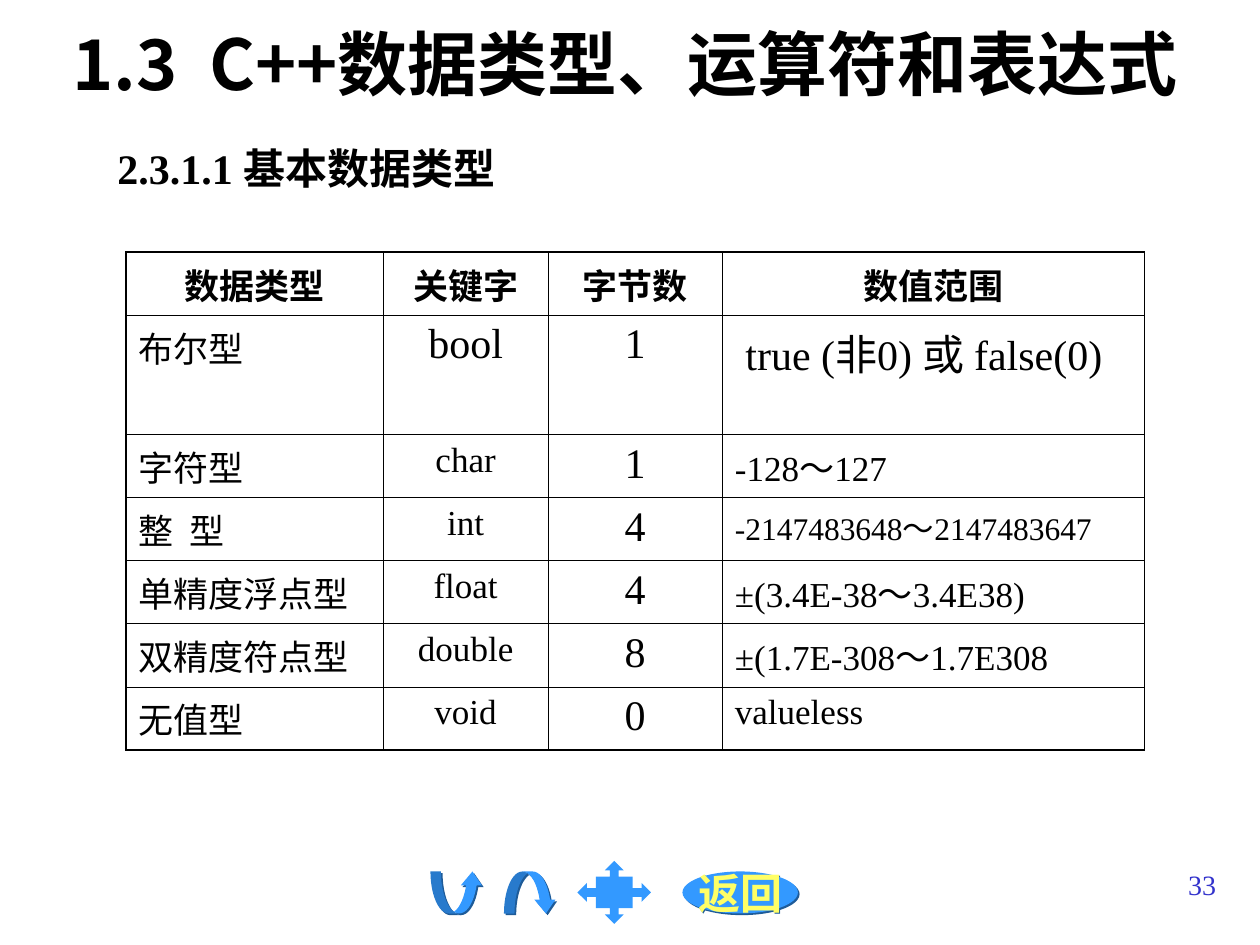
from lxml.etree import SubElement
from pptx import Presentation
from pptx.dml.color import RGBColor
from pptx.enum.shapes import MSO_SHAPE
from pptx.enum.text import MSO_ANCHOR, MSO_AUTO_SIZE, PP_ALIGN
from pptx.oxml.ns import qn
from pptx.util import Inches, Pt

BLACK = RGBColor(0x00, 0x00, 0x00)
AZURE = RGBColor(0x33, 0x99, 0xFF)
DEEP_BLUE = RGBColor(0x1E, 0x5B, 0x98)
YELLOW = RGBColor(0xFF, 0xFF, 0x66)
INDIGO = RGBColor(0x33, 0x33, 0xCC)
SERIF, SANS = "Times New Roman", "Noto Sans CJK SC"

COLUMNS, ROWS = 120, 90
UNIT = Inches(10) // COLUMNS

TITLE = "1.3  C++数据类型、运算符和表达式"
HEADING = "2.3.1.1 基本数据类型"
PAGE_NUMBER = "33"
HEADERS = ["数据类型", "关键字", "字节数", "数值范围"]
DATA_TYPES = [
    ("布尔型", "bool", "1", " true (非0) 或 false(0)"),
    ("字符型", "char", "1", "-128～127"),
    ("整  型", "int", "4", "-2147483648～2147483647"),
    ("单精度浮点型", "float", "4", "±(3.4E-38～3.4E38)"),
    ("双精度符点型", "double", "8", "±(1.7E-308～1.7E308"),
    ("无值型", "void", "0", "valueless"),
]
COLUMN_WIDTHS = [24.5, 15.7, 16.6, 40.2]
ROW_HEIGHTS = [6, 11.4, 6, 6, 6, 6, 6]
COLUMN_ALIGNS = [PP_ALIGN.LEFT, PP_ALIGN.CENTER, PP_ALIGN.CENTER, PP_ALIGN.LEFT]
COLUMN_SIZES = [20, 20, 24, 20]
SPECIAL_SIZES = {(1, 1): 24, (1, 3): 24, (3, 3): 18}
OUTER_BORDER, INNER_BORDER = 1.08, 0.45

BUTTONS = [
    (MSO_SHAPE.CURVED_UP_ARROW, (41, 83, 5, 4), [0.25, 0.5, 0.33], True, ""),
    (MSO_SHAPE.CURVED_DOWN_ARROW, (48, 83, 5, 4), [0.25, 0.5, 0.33], True, ""),
    (MSO_SHAPE.QUAD_ARROW_CALLOUT, (55, 82, 7, 6), [0.14, 0.15, 0.15, 0.5], False, ""),
    (MSO_SHAPE.OVAL, (65, 83, 11, 4), [], True, "返回"),
]


def grid(*cells):
    """Turn grid units into lengths."""
    return [round(cell * UNIT) for cell in cells]


def write(frame, text, size, color=BLACK, bold=False, align=PP_ALIGN.LEFT, latin=SERIF):
    """Fill a text frame with one formatted paragraph."""
    frame.text = text
    paragraph = frame.paragraphs[0]
    paragraph.alignment = align
    for run in paragraph.runs:
        font = run.font
        font.size, font.bold, font.name = Pt(size), bold, latin
        font.color.rgb = color
        SubElement(font._element, qn("a:ea"), typeface=SANS)


def add_label(slide, place, text, size, **style):
    """Add a wrapping text box on the grid."""
    label = slide.shapes.add_textbox(*grid(*place))
    label.text_frame.word_wrap = True
    write(label.text_frame, text, size, **style)


def add_color(parent, color):
    """Append a solid colour to an XML element."""
    return SubElement(parent, qn("a:srgbClr"), val=str(color))


def add_button(slide, kind, place, adjustments, shadowed, caption):
    """Add one navigation button."""
    button = slide.shapes.add_shape(kind, *grid(*place))
    for index, value in enumerate(adjustments):
        button.adjustments[index] = value
    button.fill.solid()
    button.fill.fore_color.rgb = AZURE
    button.line.fill.background()
    button.shadow.inherit = False
    if shadowed:
        effects = button._element.spPr.find(qn("a:effectLst"))
        shadow = SubElement(effects, qn("a:outerShdw"), blurRad="0",
                            dist=str(Pt(1.4)), dir="2700000", algn="ctr", rotWithShape="0")
        add_color(shadow, DEEP_BLUE)
    if caption:
        button.text_frame.word_wrap = False
        button.text_frame.vertical_anchor = MSO_ANCHOR.MIDDLE
        write(button.text_frame, caption, 24, YELLOW, True, PP_ALIGN.CENTER)


def set_borders(cell, row, column):
    """Rule a cell, heavier along the outside of the table."""
    outside = {"lnL": column == 0, "lnR": column == len(HEADERS) - 1,
               "lnT": row == 0, "lnB": row == len(DATA_TYPES)}
    properties = cell._tc.get_or_add_tcPr()
    for side, outer in outside.items():
        width = Pt(OUTER_BORDER if outer else INNER_BORDER)
        border = SubElement(properties, qn(f"a:{side}"), w=str(width))
        add_color(SubElement(border, qn("a:solidFill")), BLACK)


def add_type_table(slide):
    """Add the table of basic data types."""
    lines = [HEADERS, *DATA_TYPES]
    place = grid(12, 24, sum(COLUMN_WIDTHS), sum(ROW_HEIGHTS))
    table = slide.shapes.add_table(len(lines), len(HEADERS), *place).table
    table.first_row = table.horz_banding = False
    for column, width in zip(table.columns, grid(*COLUMN_WIDTHS)):
        column.width = width
    for row, height in zip(table.rows, grid(*ROW_HEIGHTS)):
        row.height = height
    for row, values in enumerate(lines):
        for column, value in enumerate(values):
            cell = table.cell(row, column)
            header = row == 0
            size = 20 if header else SPECIAL_SIZES.get((row, column), COLUMN_SIZES[column])
            align = PP_ALIGN.CENTER if header else COLUMN_ALIGNS[column]
            write(cell.text_frame, value, size, bold=header, align=align)
            set_borders(cell, row, column)
            cell.fill.background()
    table.cell(1, 3).text_frame.paragraphs[0].alignment = PP_ALIGN.JUSTIFY


def main():
    """Build the slide on basic data types."""
    presentation = Presentation()
    presentation.slide_width, presentation.slide_height = grid(COLUMNS, ROWS)
    slide = presentation.slides.add_slide(presentation.slide_layouts[5])
    title = slide.shapes.title
    title.left, title.top, title.width, title.height = grid(4, 0, 111, 12)
    title.text_frame.auto_size = MSO_AUTO_SIZE.NONE
    title.text_frame.vertical_anchor = MSO_ANCHOR.MIDDLE
    write(title.text_frame, TITLE, 40, bold=True, align=PP_ALIGN.CENTER, latin=SANS)
    add_label(slide, (10, 13, 103, 7), HEADING, 24, bold=True)
    add_type_table(slide)
    for button in BUTTONS:
        add_button(slide, *button)
    add_label(slide, (92, 82, 25, 6), PAGE_NUMBER, 16, color=INDIGO, align=PP_ALIGN.RIGHT)
    presentation.save("out.pptx")


if __name__ == "__main__":
    main()
